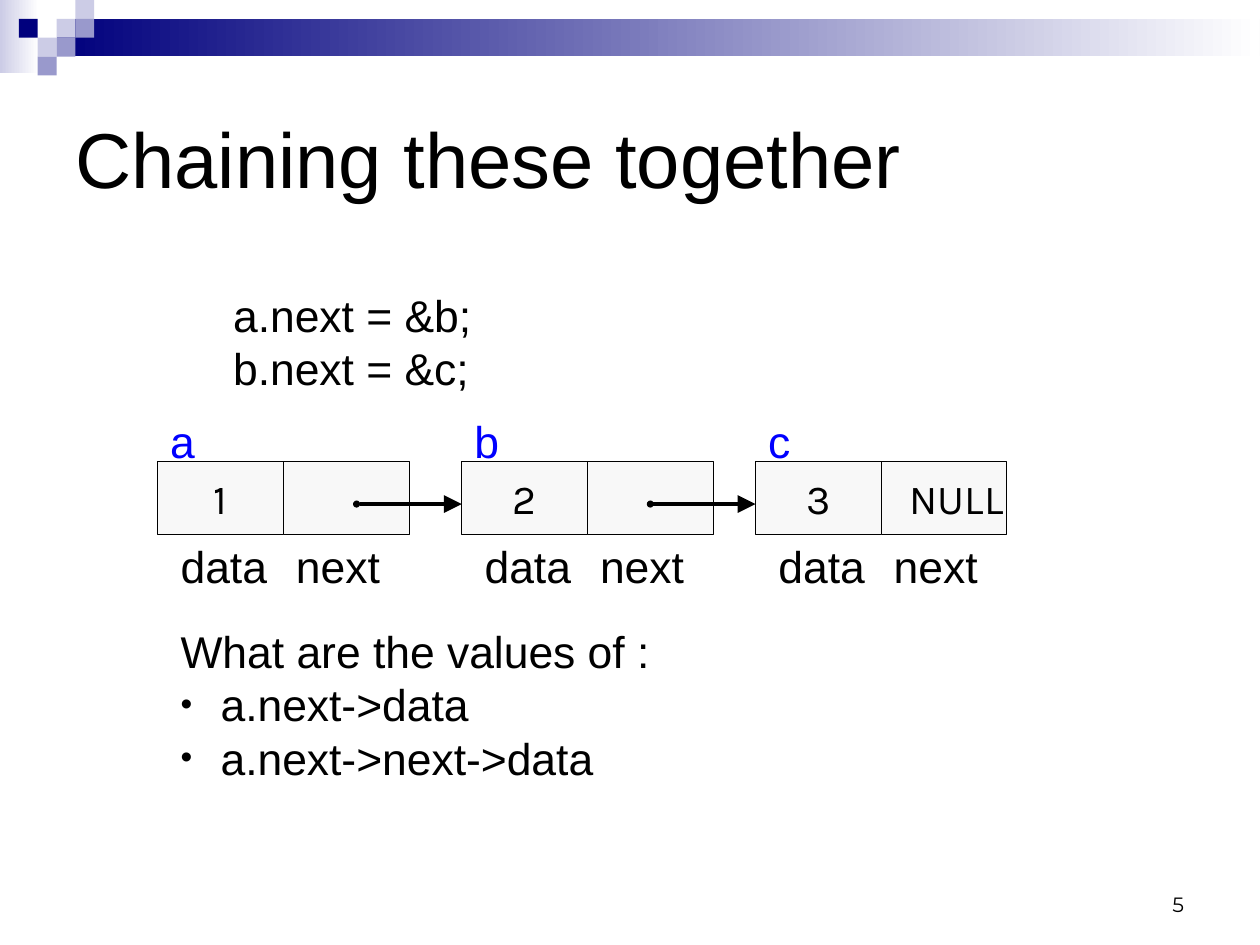
from dataclasses import dataclass

from lxml import etree
from pptx import Presentation
from pptx.dml.color import RGBColor
from pptx.enum.shapes import MSO_CONNECTOR, MSO_SHAPE
from pptx.enum.text import MSO_ANCHOR, MSO_AUTO_SIZE, PP_ALIGN
from pptx.oxml.ns import qn
from pptx.shapes.autoshape import Shape
from pptx.slide import Slide
from pptx.text.text import TextFrame, _Paragraph
from pptx.util import Cm, Inches, Pt

RECTANGLE = MSO_SHAPE.RECTANGLE
STRAIGHT = MSO_CONNECTOR.STRAIGHT
LEFT, CENTER, RIGHT = PP_ALIGN.LEFT, PP_ALIGN.CENTER, PP_ALIGN.RIGHT
TOP, MIDDLE, BOTTOM = MSO_ANCHOR.TOP, MSO_ANCHOR.MIDDLE, MSO_ANCHOR.BOTTOM
NO_AUTOFIT = MSO_AUTO_SIZE.NONE

BLACK = RGBColor(0x00, 0x00, 0x00)
WHITE = RGBColor(0xFF, 0xFF, 0xFF)
BLUE = RGBColor(0x00, 0x00, 0xFF)
NAVY = RGBColor(0x00, 0x00, 0x7D)
LAVENDER = RGBColor(0xCC, 0xCC, 0xE6)
PERIWINKLE = RGBColor(0x99, 0x99, 0xCC)
CELL_GRAY = RGBColor(0xF8, 0xF8, 0xF8)

TILE = 0.33 / 2
CELL_WIDTH, CELL_HEIGHT = 1.1, 0.64
CELL_TOP, NAME_TOP, FIELD_TOP = 4.04, 3.56, 4.66
ARROW_Y, ARROW_LENGTH = 4.41, 0.92
BULLET_INDENT = 0.35


@dataclass(frozen=True)
class Box:
    left: float
    top: float
    width: float
    height: float


@dataclass(frozen=True)
class TextStyle:
    size: float = 28
    font: str = "Arial"
    color: RGBColor = BLACK
    align: PP_ALIGN = LEFT
    anchor: MSO_ANCHOR = TOP
    wrap: bool = False


@dataclass(frozen=True)
class Tile:
    column: int
    row: int
    color: RGBColor


@dataclass(frozen=True)
class Node:
    name: str
    value: str
    left: float


BODY = TextStyle()
BODY_WRAPPED = TextStyle(wrap=True)
NODE_NAME = TextStyle(color=BLUE)
TITLE = TextStyle(size=49, anchor=MIDDLE, wrap=True)
CELL_VALUE = TextStyle(26, "Karla", align=CENTER, anchor=MIDDLE)
NULL_VALUE = TextStyle(26, "Karla", wrap=True)
PAGE_NUMBER = TextStyle(13, "Montserrat", align=RIGHT, anchor=BOTTOM, wrap=True)

TILES = [
    Tile(3, 1, LAVENDER),
    Tile(4, 0, LAVENDER),
    Tile(4, 1, PERIWINKLE),
    Tile(2, 2, LAVENDER),
    Tile(1, 1, NAVY),
    Tile(3, 2, PERIWINKLE),
    Tile(2, 3, PERIWINKLE),
]
NODES = [Node("a", "1", 1.38), Node("b", "2", 4.04), Node("c", "3", 6.61)]


def place(shape: Shape, box: Box) -> None:
    shape.left, shape.top = Inches(box.left), Inches(box.top)
    shape.width, shape.height = Inches(box.width), Inches(box.height)


def write(text_frame: TextFrame, text: str, style: TextStyle) -> None:
    text_frame.text = text
    text_frame.auto_size = NO_AUTOFIT
    text_frame.word_wrap = style.wrap
    text_frame.vertical_anchor = style.anchor
    text_frame.margin_left = text_frame.margin_right = Inches(0.11)
    text_frame.margin_top = text_frame.margin_bottom = Inches(0.06)
    for paragraph in text_frame.paragraphs:
        paragraph.alignment = style.align
        paragraph.space_before = paragraph.space_after = Pt(0)
        for run in paragraph.runs:
            run.font.size = Pt(style.size)
            run.font.name = style.font
            run.font.color.rgb = style.color


def add_text(slide: Slide, box: Box, text: str, style: TextStyle) -> None:
    shape = slide.shapes.add_textbox(0, 0, 0, 0)
    place(shape, box)
    write(shape.text_frame, text, style)


def add_rectangle(slide: Slide, box: Box) -> Shape:
    shape = slide.shapes.add_shape(RECTANGLE, 0, 0, 0, 0)
    place(shape, box)
    shape.shadow.inherit = False
    shape.line.fill.background()
    return shape


def add_solid(slide: Slide, box: Box, color: RGBColor) -> Shape:
    shape = add_rectangle(slide, box)
    shape.fill.solid()
    shape.fill.fore_color.rgb = color
    return shape


def add_fade(slide: Slide, box: Box, color: RGBColor) -> None:
    fill = add_rectangle(slide, box).fill
    fill.gradient()
    fill.gradient_angle = 0
    for stop, position, stop_color in zip(fill.gradient_stops, (0, 1), (color, WHITE)):
        stop.position = position
        stop.color.rgb = stop_color


def add_cell(slide: Slide, left: float, value: str = "") -> None:
    cell = add_solid(slide, Box(left, CELL_TOP, CELL_WIDTH, CELL_HEIGHT), CELL_GRAY)
    cell.line.color.rgb = BLACK
    cell.line.width = Pt(0.75)
    if value:
        write(cell.text_frame, value, CELL_VALUE)


def add_node(slide: Slide, node: Node) -> None:
    next_left = node.left + CELL_WIDTH
    add_cell(slide, node.left, node.value)
    add_cell(slide, next_left)
    add_text(slide, Box(node.left + 0.09, FIELD_TOP, 0.98, 0.58), "data", BODY)
    add_text(slide, Box(next_left, FIELD_TOP, 0.96, 0.58), "next", BODY)
    add_text(slide, Box(node.left, NAME_TOP, 0.44, 0.58), node.name, NODE_NAME)


def add_pointer(slide: Slide, target: Node) -> None:
    y = Inches(ARROW_Y)
    pointer = slide.shapes.add_connector(
        STRAIGHT, Inches(target.left - ARROW_LENGTH), y, Inches(target.left), y
    )
    pointer.line.color.rgb = BLACK
    pointer.line.width = Pt(2.25)
    properties = pointer._element.spPr
    line = properties.find(qn("a:ln"))
    etree.SubElement(line, qn("a:headEnd"), type="oval", w="sm", len="sm")
    etree.SubElement(line, qn("a:tailEnd"), type="triangle", w="lg", len="lg")
    etree.SubElement(properties, qn("a:effectLst"))


def set_bullet(paragraph: _Paragraph, bulleted: bool) -> None:
    properties = paragraph._p.get_or_add_pPr()
    indent = Inches(BULLET_INDENT) if bulleted else 0
    properties.set("marL", str(indent))
    properties.set("indent", str(-indent))
    if bulleted:
        color = etree.SubElement(properties, qn("a:buClr"))
        etree.SubElement(color, qn("a:srgbClr"), val=str(BLACK))
        etree.SubElement(properties, qn("a:buSzPct"), val="75000")
        etree.SubElement(properties, qn("a:buChar"), char="•")
    else:
        etree.SubElement(properties, qn("a:buNone"))


def main() -> None:
    presentation = Presentation()
    presentation.slide_width, presentation.slide_height = Cm(28), Cm(21)
    slide = presentation.slides.add_slide(presentation.slide_layouts[1])

    add_fade(slide, Box(0, 0, 0.34, 0.64), LAVENDER)
    add_fade(slide, Box(0.5, TILE, 10.52, 2 * TILE), NAVY)
    for tile in TILES:
        add_solid(slide, Box(tile.column * TILE, tile.row * TILE, TILE, TILE), tile.color)

    title, questions = slide.placeholders
    place(title, Box(0.55, 0.55, 9.92, 1.65))
    write(title.text_frame, "Chaining these together", TITLE)
    add_text(slide, Box(1.93, 2.46, 2.3, 1.04), "a.next = &b;\nb.next = &c;", BODY)

    for node in NODES:
        add_node(slide, node)
    for target in NODES[1:]:
        add_pointer(slide, target)
    add_text(slide, Box(7.85, 4.08, 1.14, 0.54), "NULL", NULL_VALUE)

    place(questions, Box(1.47, 5.4, 4.43, 1.51))
    write(questions.text_frame, "What are the values of :\na.next->data\na.next->next->data", BODY_WRAPPED)
    for index, paragraph in enumerate(questions.text_frame.paragraphs):
        set_bullet(paragraph, index > 0)

    add_text(slide, Box(7.9, 7.53, 2.57, 0.55), "5", PAGE_NUMBER)
    presentation.save("out.pptx")


if __name__ == "__main__":
    main()
